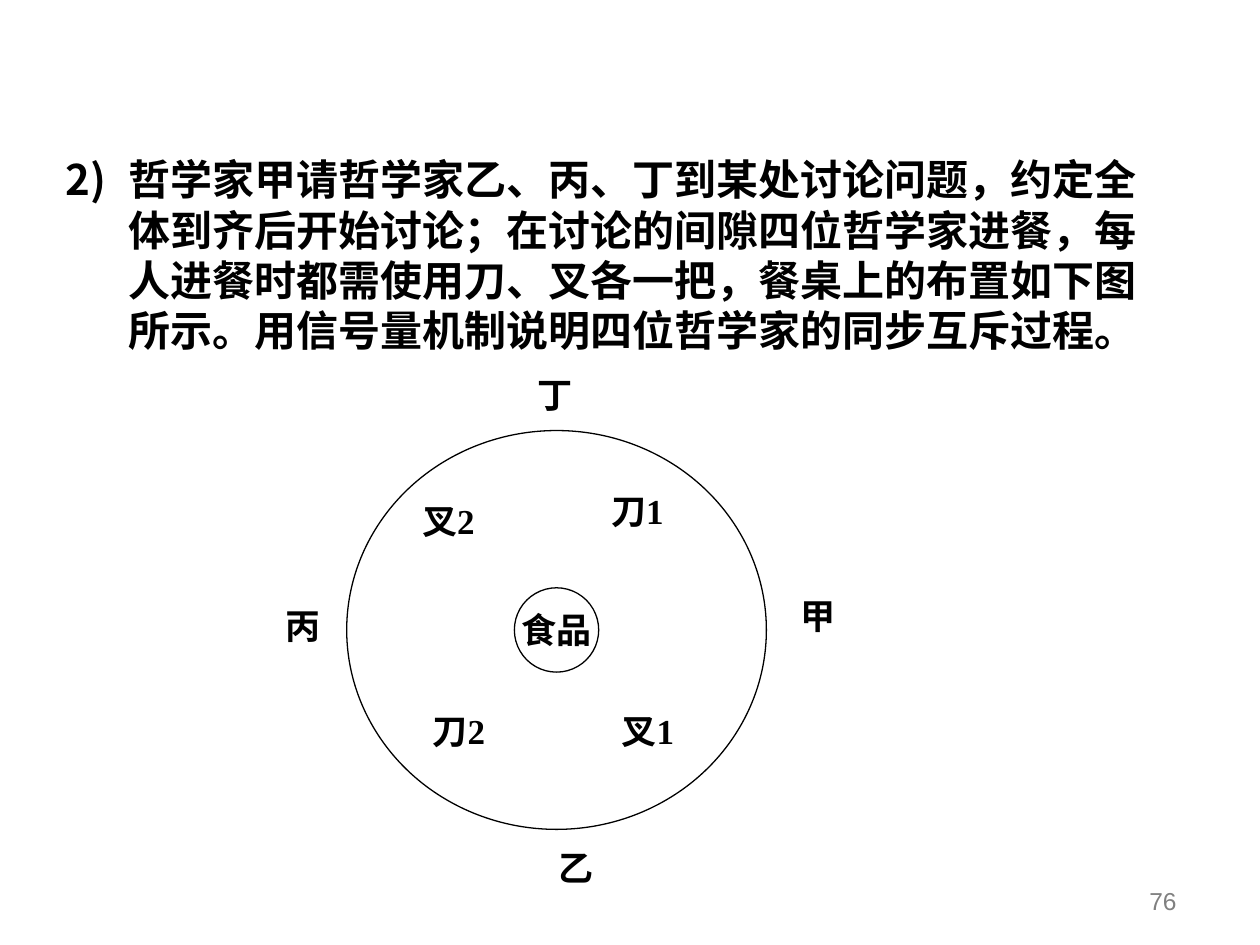
import dataclasses

import pptx
import pptx.dml.color
import pptx.enum.shapes
import pptx.enum.text
import pptx.oxml
import pptx.oxml.ns
import pptx.util

Cm = pptx.util.Cm
Align = pptx.enum.text.PP_ALIGN
Anchor = pptx.enum.text.MSO_ANCHOR
AutoSize = pptx.enum.text.MSO_AUTO_SIZE


@dataclasses.dataclass(frozen=True)
class Theme:
    """Colours, fonts and type sizes of the slide."""
    ink: str = "000000"
    muted: str = "808080"
    serif: str = "Times New Roman"
    sans: str = "Arial"
    question: int = 24
    label: int = 20
    number: int = 14
    outline: float = 0.75


THEME = Theme()
QUESTION_BOX = (1.07, 2.97, 22.86, 4.32)
TABLE_BOX = (6.99, 8.68, 8.46, 8.04)
NUMBER_BOX = (18.69, 17.3, 5.28, 1.27)
FOOD_SIZE = 1.7
SEAT_SIZE = (1.27, 1.12)
CUTLERY_SIZE = (1.7, 1.96)
SEATS = {"乙": (4.02, 8.25), "丙": (-1.48, 3.39),
         "丁": (3.6, -1.27), "甲": (8.89, 3.18)}
CUTLERY = {"刀2": (1.48, 5.5), "叉1": (5.29, 5.5),
           "刀1": (5.08, 1.06), "叉2": (1.27, 1.27)}
QUESTION = ("哲学家甲请哲学家乙、丙、丁到某处讨论问题，约定全体到齐后开始讨论；"
            "在讨论的间隙四位哲学家进餐，每人进餐时都需使用刀、叉各一把，"
            "餐桌上的布置如下图所示。用信号量机制说明四位哲学家的同步互斥过程。")


def apply(target, values):
    """Set each named attribute of the target."""
    for name, value in values.items():
        setattr(target, name, value)


def write(shape, text, size, bold=True, font=THEME.serif, color=THEME.ink,
          align=Align.LEFT, anchor=Anchor.TOP, wrap=True):
    """Fill a shape with one formatted paragraph and return it."""
    frame = shape.text_frame
    apply(frame, {"word_wrap": wrap, "auto_size": AutoSize.NONE,
                  "vertical_anchor": anchor})
    para = frame.paragraphs[0]
    apply(para, {"alignment": align, "space_before": pptx.util.Pt(0)})
    span = para.add_run()
    span.text = text
    apply(span.font, {"name": font, "size": pptx.util.Pt(size), "bold": bold})
    span.font.color.rgb = pptx.dml.color.RGBColor.from_string(color)
    return para


def add_label(page, box, text, size, **style):
    """Add a text box at the given place."""
    write(page.shapes.add_textbox(*map(Cm, box)), text, size, **style)


def add_circle(page, box):
    """Add an unfilled outlined ellipse."""
    circle = page.shapes.add_shape(
        pptx.enum.shapes.MSO_SHAPE.OVAL, *map(Cm, box))
    circle.shadow.inherit = False
    circle.fill.background()
    circle.line.color.rgb = pptx.dml.color.RGBColor.from_string(THEME.ink)
    circle.line.width = pptx.util.Pt(THEME.outline)
    return circle


def add_question(page, box):
    """Place the numbered question in the body placeholder."""
    body = page.placeholders[1]
    apply(body, dict(zip(("left", "top", "width", "height"), map(Cm, box))))
    para = write(body, QUESTION, THEME.question)
    properties = para._p.get_or_add_pPr()
    indent = Cm(1.27)
    properties.set("marL", str(indent))
    properties.set("indent", str(-indent))
    namespace = pptx.oxml.ns.nsdecls("a")
    for bullet in (
            f'<a:buClr {namespace}><a:srgbClr val="{THEME.ink}"/></a:buClr>',
            f'<a:buFontTx {namespace}/>',
            f'<a:buAutoNum {namespace} type="arabicParenR" startAt="2"/>'):
        properties.append(pptx.oxml.parse_xml(bullet))


def add_dining_table(page, box):
    """Draw the table with its food, cutlery and seats."""
    left, top, width, height = box
    add_circle(page, box)
    food = add_circle(page, (left + (width - FOOD_SIZE) / 2,
                             top + (height - FOOD_SIZE) / 2,
                             FOOD_SIZE, FOOD_SIZE))
    write(food, "食品", THEME.label, align=Align.CENTER,
          anchor=Anchor.MIDDLE, wrap=False)
    for labels, size in ((SEATS, SEAT_SIZE), (CUTLERY, CUTLERY_SIZE)):
        for text, (x, y) in labels.items():
            add_label(page, (left + x, top + y, *size), text, THEME.label)


def add_page_number(page, box):
    """Place the page number at the lower right."""
    add_label(page, box, "76", THEME.number, bold=False, font=THEME.sans,
              color=THEME.muted, align=Align.RIGHT, anchor=Anchor.BOTTOM)


def main():
    """Build and save the deck."""
    deck = pptx.Presentation()
    apply(deck, {"slide_width": Cm(25.4), "slide_height": Cm(19.05)})
    page = deck.slides.add_slide(deck.slide_layouts[1])
    title = page.shapes.title.element
    title.getparent().remove(title)
    add_question(page, QUESTION_BOX)
    add_dining_table(page, TABLE_BOX)
    add_page_number(page, NUMBER_BOX)
    deck.save("out.pptx")


if __name__ == "__main__":
    main()
